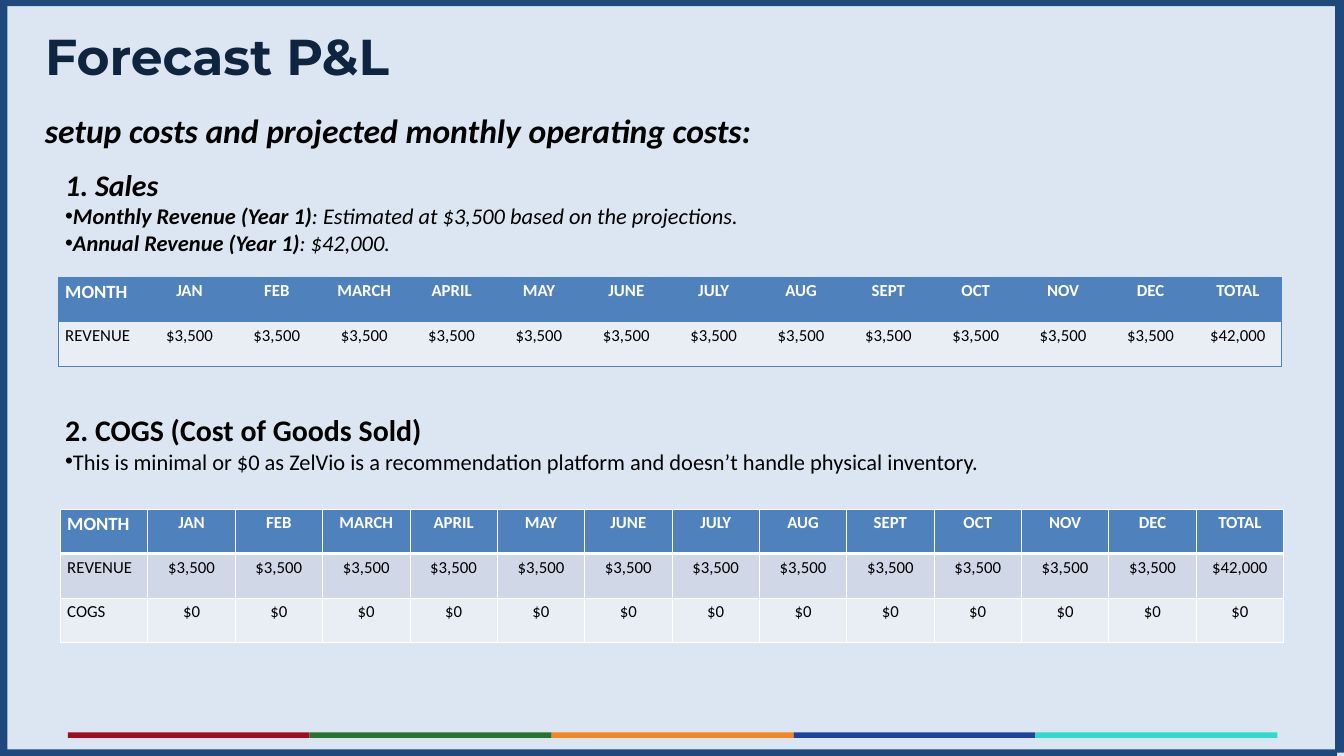
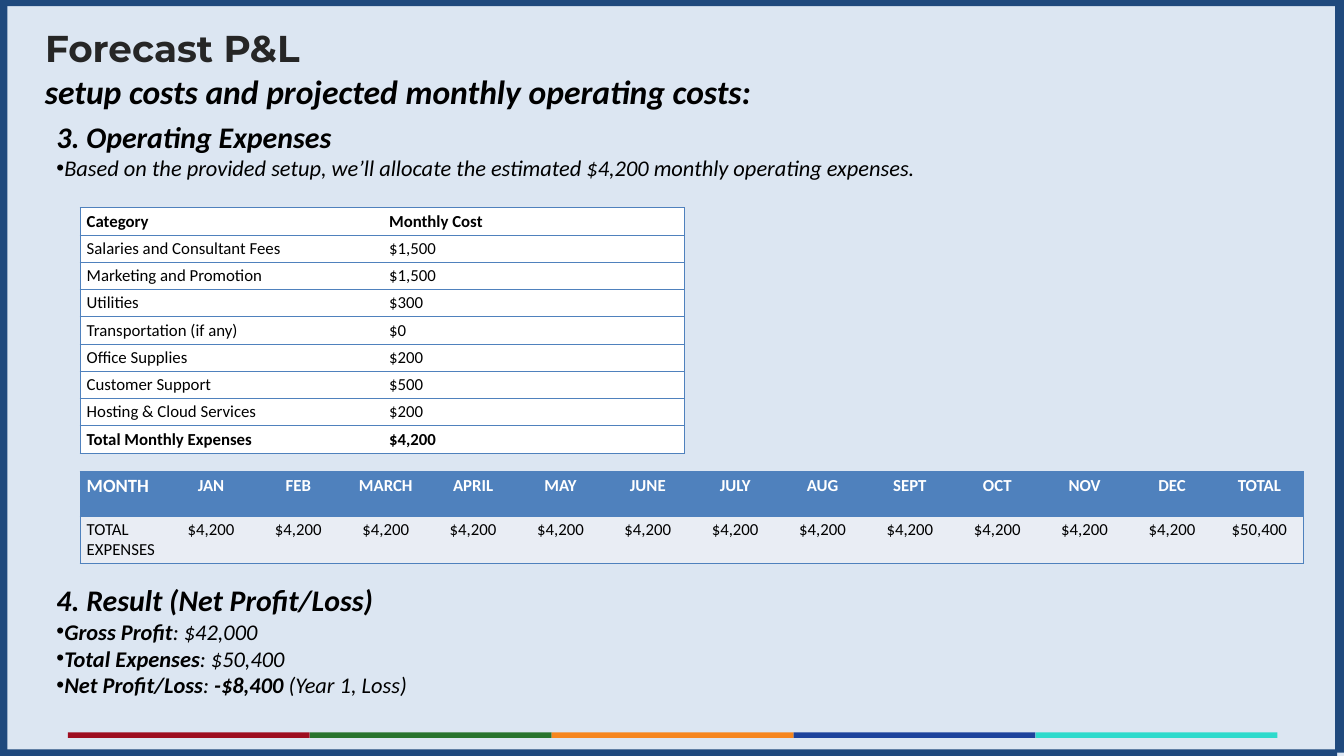
"""Build the two forecast slides: sales and COGS, then expenses and result."""
from lxml import etree
from pptx import Presentation
from pptx import util as u
from pptx.dml.color import RGBColor
from pptx.enum import shapes, text
from pptx.oxml import ns

HUES = {
    "back": "DCE6F2", "frame": "1F497D", "head": "4F81BD", "light": "E9EDF4",
    "band": "D0D8E8", "white": "FFFFFF", "black": "000000",
    "navy": "0F243E", "grey": "262626",
    "red": "9E0D20", "green": "28742E", "gold": "F6861F",
    "blue": "1D439C", "aqua": "2EDACC",
}
STRIPES = ("red", "green", "gold", "blue", "aqua")
FRAME = ((0, -0.02, 19.9, 0.11), (0, 11.15, 19.9, 0.11),
         (-0.02, 0.03, 0.13, 11.2), (19.87, 0, 0.13, 11.2))
MONTHS = ["MONTH", "JAN", "FEB", "MARCH", "APRIL", "MAY", "JUNE", "JULY",
          "AUG", "SEPT", "OCT", "NOV", "DEC", "TOTAL"]
COSTS = [
    ("Category", "Monthly Cost"),
    ("Salaries and Consultant Fees", "$1,500"),
    ("Marketing and Promotion", "$1,500"),
    ("Utilities", "$300"),
    ("Transportation (if any)", "$0"),
    ("Office Supplies", "$200"),
    ("Customer Support", "$500"),
    ("Hosting & Cloud Services", "$200"),
    ("Total Monthly Expenses", "$4,200"),
]
PLAIN = "{2D5ABB26-0587-4C30-8999-92F81FD0307C}"


def rgb(hue):
    return RGBColor.from_string(HUES[hue])


def sub(node, tag, **attrs):
    return etree.SubElement(node, ns.qn(tag), **attrs)


def write(para, *runs, size=18, hue="black", font="Calibri", italic=False,
          align=text.PP_ALIGN.LEFT, bullet=False):
    """Fill a paragraph with runs that are bold and regular by turns."""
    props = para._p.get_or_add_pPr()
    props.set("marL", "0")
    props.set("indent", "0")
    para.alignment = align
    para.space_before = u.Pt(0)
    if bullet:
        sub(props, "a:buChar", char="•")
    else:
        sub(props, "a:buNone")
    for i, words in enumerate(runs):
        if words:
            run = para.add_run()
            run.text = words
            face = run.font
            face.name, face.size = font, u.Pt(size)
            face.bold, face.italic = i % 2 == 0, italic
            face.color.rgb = rgb(hue)


def place(box, left, top, wide, high):
    box.left, box.top = u.Inches(left), u.Inches(top)
    box.width, box.height = u.Inches(wide), u.Inches(high)
    frame = box.text_frame
    frame.word_wrap = True
    frame.auto_size = text.MSO_AUTO_SIZE.NONE
    frame.vertical_anchor = text.MSO_ANCHOR.TOP
    return frame


def add_list(box, spot, head, items, italic=True):
    frame = place(box, *spot)
    write(frame.paragraphs[0], head, size=32, italic=italic)
    for runs in items:
        write(frame.add_paragraph(), *runs, size=24, italic=italic, bullet=True)


def add_bar(parent, spot, hue):
    bar = parent.add_shape(shapes.MSO_SHAPE.RECTANGLE, *map(u.Inches, spot))
    bar.shadow.inherit = False
    bar.fill.solid()
    bar.fill.fore_color.rgb = rgb(hue)
    bar.line.fill.background()


def add_edges(cell, edges):
    """Draw cell borders; edges maps a side to its hue and width."""
    props = cell._tc.get_or_add_tcPr()
    sides = [side for side in "LRTB" if side in edges]
    for i, side in enumerate(sides):
        hue, width = edges[side]
        line = etree.Element(ns.qn("a:ln" + side), w=str(u.Pt(width)))
        sub(sub(line, "a:solidFill"), "a:srgbClr", val=HUES[hue])
        props.insert(i, line)


def add_table(slide, left, top, wide, rows, highs):
    count = len(rows[0])
    table = slide.shapes.add_table(
        len(rows), count, *map(u.Inches, (left, top, wide, sum(highs)))).table
    table._tbl.tblPr.find(ns.qn("a:tableStyleId")).text = PLAIN
    for col in table.columns:
        col.width = u.Inches(wide / count)
    for row, high in zip(table.rows, highs):
        row.height = u.Inches(high)
    return table


def fill_cell(cell, words, ground, bold, edges, **form):
    cell.fill.solid()
    cell.fill.fore_color.rgb = rgb(ground)
    runs = (words,) if bold else ("", words)
    write(cell.text_frame.paragraphs[0], *runs, **form)
    add_edges(cell, edges)


def box_edges(c, last):
    """Give the rules of a table that has no upright lines inside."""
    sides = "TB" + "L" * (c == 0) + "R" * (c == last)
    return {side: ("head", 1) for side in sides}


def grid_edges(r):
    """Give the rules of a white grid with a thick line under its head."""
    edges = {side: ("white", 1) for side in "LRTB"}
    if r < 2:
        edges["BT"[r]] = ("white", 3)
    return edges


def add_months(slide, left, top, lines, grid=False, high=0.66):
    """Add a table by month from (name, monthly value, total) lines."""
    rows = [MONTHS] + [[name] + [each] * 12 + [total]
                       for name, each, total in lines]
    table = add_table(slide, left, top, 18.2, rows,
                      [0.66] + [high] * len(lines))
    for r, row in enumerate(rows):
        ground = "head" if r == 0 else "band" if grid and r % 2 else "light"
        for c, words in enumerate(row):
            fill_cell(
                table.cell(r, c), words, ground, r == 0,
                grid_edges(r) if grid else box_edges(c, len(row) - 1),
                size=20 if r == c == 0 else 18,
                hue="white" if r == 0 else "black",
                align=text.PP_ALIGN.CENTER if c else text.PP_ALIGN.LEFT)


def add_costs(slide, left, top):
    table = add_table(slide, left, top, 9, COSTS, [0.4] * len(COSTS))
    for r, row in enumerate(COSTS):
        for c, words in enumerate(row):
            cell = table.cell(r, c)
            cell.vertical_anchor = text.MSO_ANCHOR.MIDDLE
            fill_cell(cell, words, "white", r in (0, len(COSTS) - 1),
                      box_edges(c, 1))


def add_slide(deck, size, hue, high, top):
    """Add a slide with its title, subtitle, frame and footer stripes."""
    slide = deck.slides.add_slide(deck.slide_layouts[3])
    group = slide.shapes.add_group_shape().shapes
    for i, stripe in enumerate(STRIPES):
        add_bar(group, (1.01 + 3.6 * i, 10.9, 3.6, 0.08), stripe)
    for spot in FRAME:
        add_bar(slide.shapes, spot, "frame")
    title = place(slide.shapes.title, 0.57, 0.33, 6.21, high)
    write(title.paragraphs[0], "Forecast P&L", size=size, hue=hue,
          font="Montserrat")
    note = place(slide.shapes.add_textbox(0, 0, 0, 0), 0.57, top, 12.87, 0.71)
    write(note.paragraphs[0],
          "setup costs and projected monthly operating costs:",
          size=36, italic=True)
    return slide


def add_sales(deck):
    slide = add_slide(deck, 54, "navy", 1.01, 1.59)
    sales = ("REVENUE", "$3,500", "$42,000")
    add_list(slide.placeholders[1], (0.87, 2.43, 16.63, 1.45), "1. Sales", [
        ("Monthly Revenue (Year 1)",
         ": Estimated at $3,500 based on the projections."),
        ("Annual Revenue (Year 1)", ": $42,000.")])
    add_months(slide, 0.87, 4.13, [sales])
    add_list(slide.placeholders[2], (0.87, 6.08, 17.96, 1.04),
             "2. COGS (Cost of Goods Sold)", [
        ("", "This is minimal or $0 as ZelVio is a recommendation platform "
             "and doesn’t handle physical inventory.")], italic=False)
    add_months(slide, 0.9, 7.58, [sales, ("COGS", "$0", "$0")], grid=True)


def add_result(deck):
    slide = add_slide(deck, 40, "grey", 0.77, 1)
    add_list(slide.placeholders[1], (0.74, 1.71, 13.33, 1.45),
             "3. Operating Expenses", [
        ("", "Based on the provided setup, we’ll allocate the estimated "
             "$4,200 monthly operating expenses.")])
    add_costs(slide, 1.19, 3.09)
    add_months(slide, 1.19, 7.02, [("TOTAL EXPENSES", "$4,200", "$50,400")],
               high=0.7)
    add_list(slide.placeholders[2], (0.74, 8.61, 10, 1.85),
             "4. Result (Net Profit/Loss)", [
        ("Gross Profit", ": $42,000"),
        ("Total Expenses", ": $50,400"),
        ("Net Profit/Loss", ": ", "-$8,400", " (Year 1, Loss)")])


def main():
    deck = Presentation()
    deck.slide_width, deck.slide_height = u.Inches(20), u.Inches(11.25)
    back = deck.slide_master.background.fill
    back.solid()
    back.fore_color.rgb = rgb("back")
    add_sales(deck)
    add_result(deck)
    deck.save("out.pptx")


if __name__ == "__main__":
    main()
